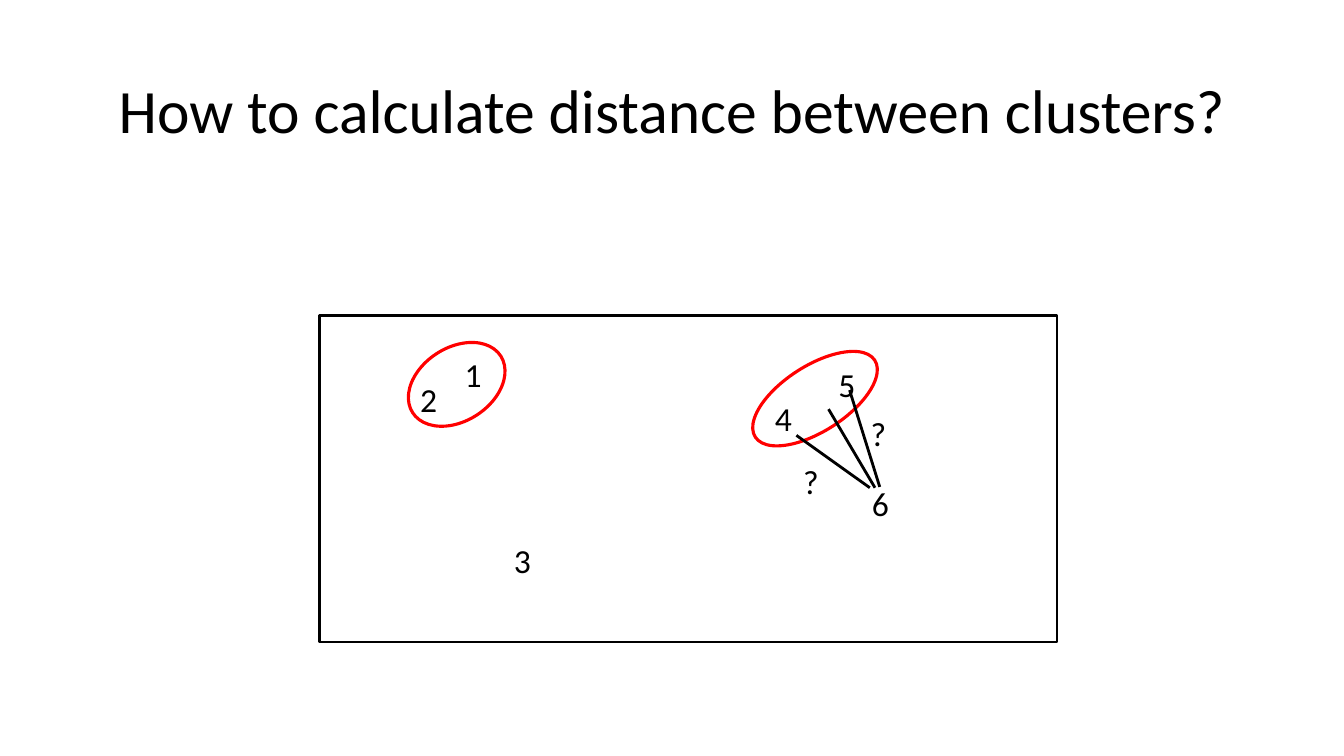
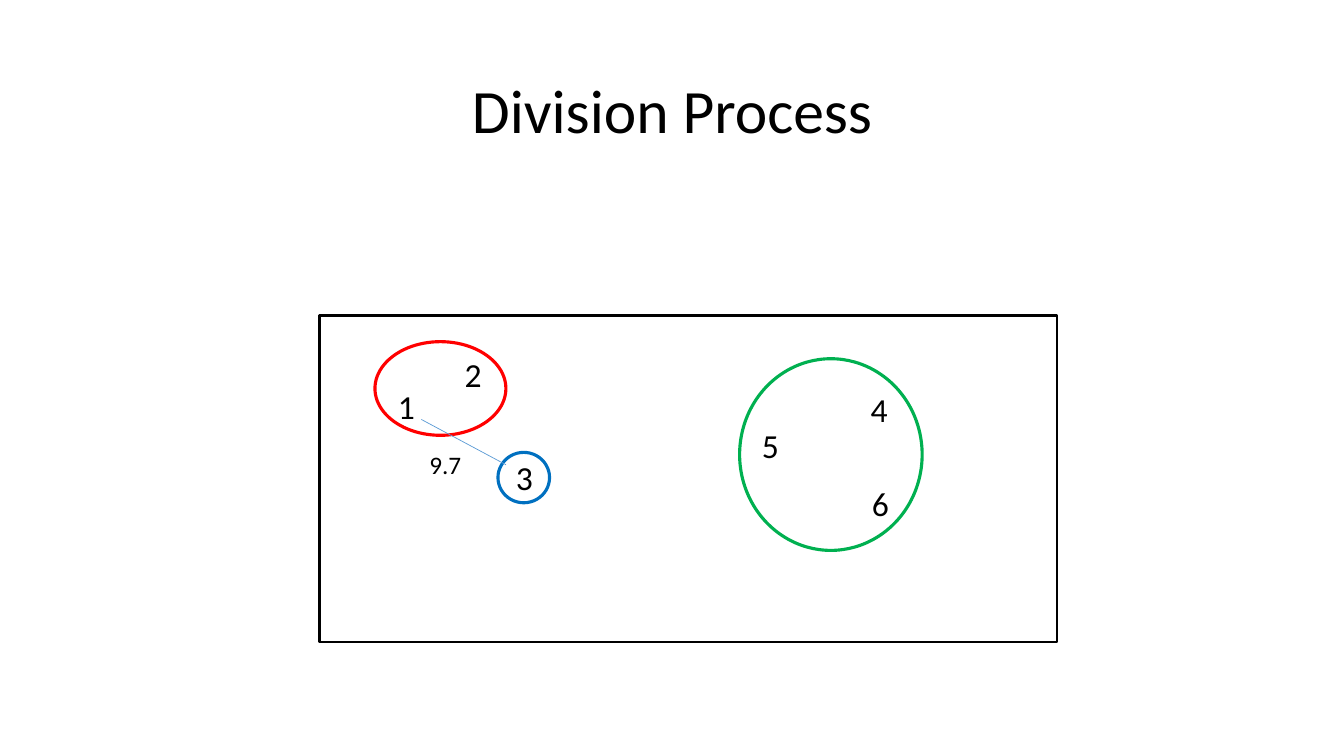
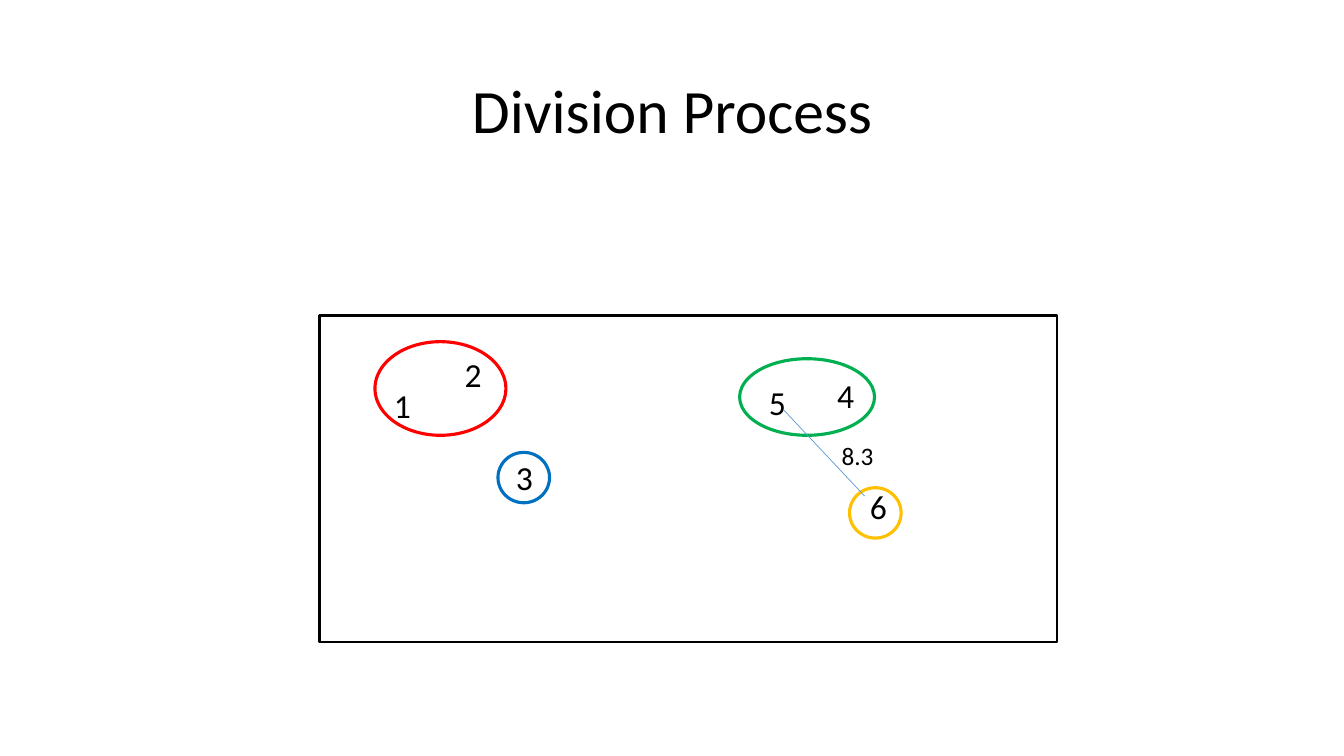
from lxml.etree import SubElement
from pptx import Presentation
from pptx.dml.color import RGBColor
from pptx.enum.shapes import MSO_CONNECTOR, MSO_SHAPE
from pptx.enum.text import MSO_ANCHOR, PP_ALIGN
from pptx.oxml.ns import qn
from pptx.util import Cm, Pt

BLACK = RGBColor(0x00, 0x00, 0x00)
RED = RGBColor(0xFF, 0x00, 0x00)
GREEN = RGBColor(0x00, 0xB0, 0x50)
BLUE = RGBColor(0x00, 0x70, 0xC0)
YELLOW = RGBColor(0xFF, 0xC0, 0x00)
LIGHT_BLUE = RGBColor(0x5B, 0x9B, 0xD5)

FONT = "Calibri"
BLANK_LAYOUT = 6

# All boxes are (left, top, width, height) in centimetres.
TITLE_BOX = (2.34, 1.02, 29.21, 3.68)
FRAME_BOX = (8.05, 7.95, 18.59, 8.23)
POINT_SIZE = (0.94, 1.27)
QUESTION_SIZE = (1.19, 1.27)
DISTANCE_SIZE = (1.65, 1.02)

# Clusters that stay the same during the division.
CLUSTER_1_2 = ((9.45, 8.61, 3.3, 2.36), 0, RED)
CLUSTER_3 = ((12.55, 11.4, 1.3, 1.27), 0, BLUE)

# points: (text, left, top); clusters: (box, rotation, colour);
# links: (start, end); labels: (text, left, top)
SLIDES = [
    {
        "title": "How to calculate distance between clusters?",
        "points": [
            ("2", 10.34, 9.42), ("1", 11.46, 8.79), ("3", 12.7, 13.49),
            ("5", 20.88, 9.04), ("4", 19.28, 9.91), ("6", 21.72, 12.04),
        ],
        "clusters": [
            ((10.19, 8.76, 2.64, 1.85), 327.3, RED),
            ((18.75, 9.22, 3.58, 1.65), 327.3, RED),
        ],
        "links": [
            ((21.92, 12.29), (20.07, 10.97)),
            ((22.17, 12.27), (21.41, 9.83)),
            ((22.05, 12.29), (20.88, 10.31)),
        ],
        "link_style": (BLACK, 2),
        "labels": [("?", 21.69, 10.29), ("?", 19.99, 11.48)],
        "label_style": (QUESTION_SIZE, 24),
    },
    {
        "title": "Division Process",
        "points": [
            ("1", 9.78, 9.6), ("2", 11.46, 8.79), ("3", 12.75, 11.4),
            ("4", 21.69, 9.68), ("5", 18.95, 10.57), ("6", 21.72, 12.04),
        ],
        "clusters": [
            ((18.64, 9.04, 4.6, 4.83), 0, GREEN), CLUSTER_1_2, CLUSTER_3,
        ],
        "links": [((10.62, 10.57), (12.75, 11.71))],
        "link_style": (LIGHT_BLUE, 0.5),
        "labels": [("9.7", 10.57, 11.2)],
        "label_style": (DISTANCE_SIZE, 18),
    },
    {
        "title": "Division Process",
        "points": [
            ("1", 9.68, 9.58), ("2", 11.46, 8.79), ("3", 12.75, 11.4),
            ("4", 20.85, 9.32), ("5", 19.13, 9.5), ("6", 21.67, 12.12),
        ],
        "clusters": [
            ((18.64, 9.04, 3.4, 1.93), 0, GREEN), CLUSTER_1_2, CLUSTER_3,
            ((21.41, 12.29, 1.3, 1.27), 0, YELLOW),
        ],
        "links": [((19.76, 10.34), (21.79, 12.5))],
        "link_style": (LIGHT_BLUE, 0.5),
        "labels": [("8.3", 20.96, 10.97)],
        "label_style": (DISTANCE_SIZE, 18),
    },
]


def to_cm(values):
    return [Cm(value) for value in values]


def add_text(slide, text, box, size):
    text_frame = slide.shapes.add_textbox(*to_cm(box)).text_frame
    text_frame.word_wrap = True
    paragraph = text_frame.paragraphs[0]
    paragraph.text = text
    paragraph.font.name = FONT
    paragraph.font.size = Pt(size)
    paragraph.font.color.rgb = BLACK
    return text_frame


def add_title(slide, title):
    text_frame = add_text(slide, title, TITLE_BOX, 44)
    text_frame.vertical_anchor = MSO_ANCHOR.MIDDLE
    paragraph = text_frame.paragraphs[0]
    paragraph.alignment = PP_ALIGN.CENTER
    paragraph.line_spacing = 0.9


def add_outline(slide, kind, box, color, width, rotation=0):
    """Add an unfilled shape."""
    shape = slide.shapes.add_shape(kind, *to_cm(box))
    shape.shadow.inherit = False
    shape.fill.background()
    shape.line.color.rgb = color
    shape.line.width = Pt(width)
    shape.rotation = rotation


def add_link(slide, start, end, color, width):
    connector = slide.shapes.add_connector(
        MSO_CONNECTOR.STRAIGHT, *to_cm(start + end))
    connector.line.color.rgb = color
    connector.line.width = Pt(width)
    SubElement(connector._element.spPr, qn("a:effectLst"))


def build_slide(presentation, content):
    slide = presentation.slides.add_slide(
        presentation.slide_layouts[BLANK_LAYOUT])
    add_title(slide, content["title"])
    add_outline(slide, MSO_SHAPE.RECTANGLE, FRAME_BOX, BLACK, 2)
    for text, left, top in content["points"]:
        add_text(slide, text, (left, top, *POINT_SIZE), 24)
    for box, rotation, color in content["clusters"]:
        add_outline(slide, MSO_SHAPE.OVAL, box, color, 2.25, rotation)
    for start, end in content["links"]:
        add_link(slide, start, end, *content["link_style"])
    label_size, font_size = content["label_style"]
    for text, left, top in content["labels"]:
        add_text(slide, text, (left, top, *label_size), font_size)


def main():
    presentation = Presentation()
    presentation.slide_width = Cm(33.87)
    presentation.slide_height = Cm(19.05)
    for content in SLIDES:
        build_slide(presentation, content)
    presentation.save("out.pptx")


if __name__ == "__main__":
    main()
